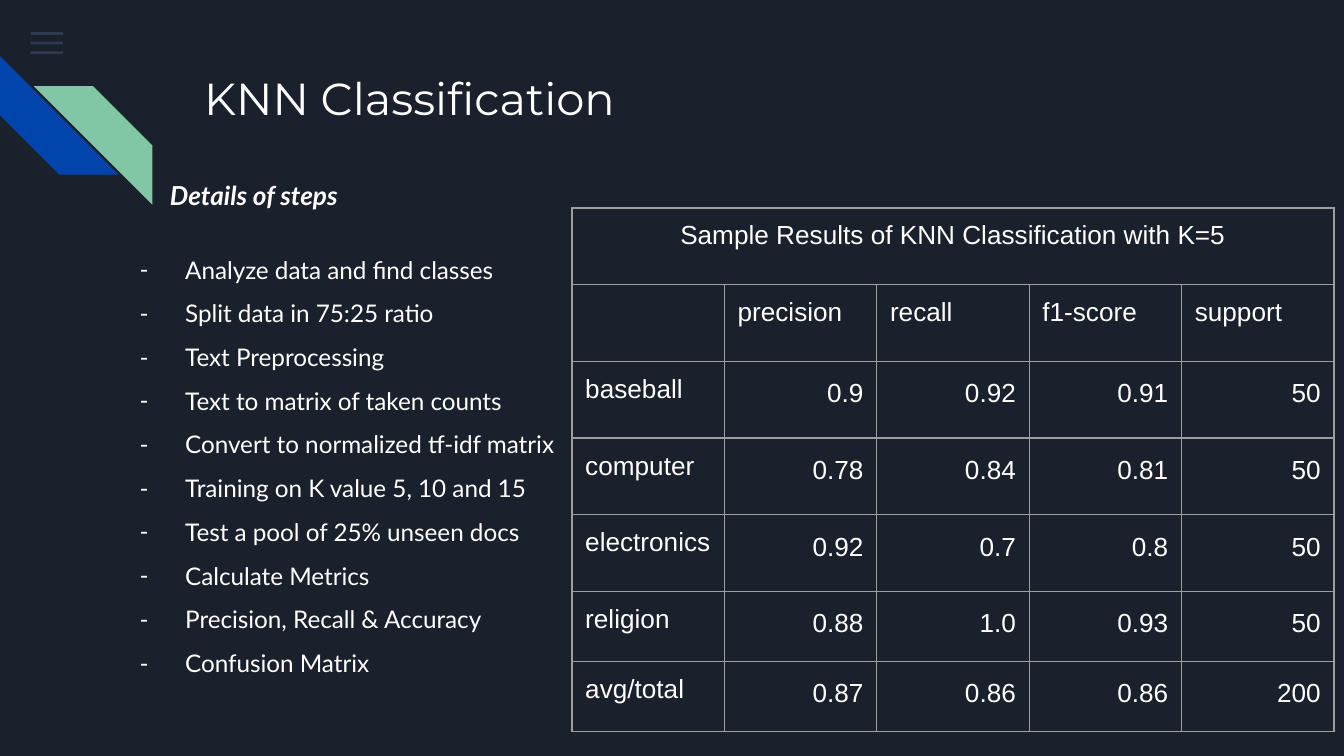
from typing import NamedTuple

from lxml import etree
from pptx import Presentation
from pptx.dml.color import RGBColor
from pptx.enum.shapes import MSO_SHAPE
from pptx.enum.text import MSO_ANCHOR, MSO_AUTO_SIZE, PP_ALIGN
from pptx.oxml.ns import qn
from pptx.util import Cm, Pt

BAR, STRIPE = MSO_SHAPE.RECTANGLE, MSO_SHAPE.DIAGONAL_STRIPE
LEFT, CENTER, RIGHT = PP_ALIGN.LEFT, PP_ALIGN.CENTER, PP_ALIGN.RIGHT
TOP = MSO_ANCHOR.TOP
NO_AUTOFIT = MSO_AUTO_SIZE.NONE

WHITE, NAVY, SLATE = "FFFFFF", "1B212C", "55688B"
BLUE, GREEN, GRID = "0145AC", "82C7A5", "9E9E9E"
INSET = Cm(0.25)


class Ornament(NamedTuple):
    kind: int
    left: float
    top: float
    width: float
    height: float
    fill: str
    opacity: int = 100
    rotation: int = 0
    mirrored: bool = False


class Score(NamedTuple):
    label: str
    precision: str
    recall: str
    f1: str
    support: str


ORNAMENTS = [
    Ornament(BAR, 0.58, 0.61 + 0.18 * i, 0.61, 0.05, SLATE, opacity=36)
    for i in range(3)
] + [
    Ornament(STRIPE, 0, 1.06, 2.24, 2.24, BLUE, rotation=270),
    Ornament(STRIPE, 0.64, 1.63, 2.24, 2.24, GREEN, mirrored=True),
]

STEPS = [
    "Analyze data and find classes",
    "Split data in 75:25 ratio",
    "Text Preprocessing",
    "Text to matrix of taken counts",
    "Convert to normalized tf-idf matrix",
    "Training on K value 5, 10 and 15",
    "Test a pool of 25% unseen docs",
    "Calculate Metrics",
    "Precision, Recall & Accuracy",
    "Confusion Matrix",
]

RESULTS_HEADING = "Sample Results of KNN Classification with K=5"
METRICS = ["", "precision", "recall", "f1-score", "support"]
SCORES = [
    Score("baseball", "0.9", "0.92", "0.91", "50"),
    Score("computer", "0.78", "0.84", "0.81", "50"),
    Score("electronics", "0.92", "0.7", "0.8", "50"),
    Score("religion", "0.88", "1.0", "0.93", "50"),
    Score("avg/total", "0.87", "0.86", "0.86", "200"),
]
COLUMN_WIDTH = 2.88
ROW_HEIGHTS = [1.45] * 5 + [1.32] * 2


def rgb(color: str) -> RGBColor:
    return RGBColor.from_string(color)


def add_child(parent, tag: str, **attributes: str):
    return etree.SubElement(parent, qn(tag), attributes)


def write(paragraph, text: str, *, font: str, size: float, color: str = WHITE,
          bold: bool = False, italic: bool = False, align=LEFT,
          line_spacing: float = 1.0, before: float = 0,
          margin: float = 0, indent: float = 0, bullet: str = "") -> None:
    """Fill one paragraph; margin and indent are in centimetres."""
    properties = paragraph._p.get_or_add_pPr()
    properties.set("marL", str(Cm(margin)))
    properties.set("indent", str(Cm(indent)))
    if bullet:
        add_child(add_child(properties, "a:buClr"), "a:srgbClr", val=color)
        add_child(properties, "a:buFont", typeface=font)
        add_child(properties, "a:buChar", char=bullet)
    else:
        add_child(properties, "a:buNone")
    paragraph.alignment = align
    paragraph.line_spacing = line_spacing
    paragraph.space_before = Pt(before)
    if not text:
        return
    run = paragraph.add_run()
    run.text = text
    run.font.name, run.font.size = font, Pt(size)
    run.font.bold, run.font.italic = bold, italic
    run.font.color.rgb = rgb(color)


def draw_ornament(slide, ornament: Ornament) -> None:
    box = [Cm(length) for length in ornament[1:5]]
    shape = slide.shapes.add_shape(ornament.kind, *box)
    shape.shadow.inherit = False
    shape.fill.solid()
    shape.fill.fore_color.rgb = rgb(ornament.fill)
    shape.line.fill.background()
    shape.rotation = ornament.rotation
    if ornament.opacity < 100:
        color = shape._element.spPr.find(".//" + qn("a:srgbClr"))
        add_child(color, "a:alpha", val=str(ornament.opacity * 1000))
    if ornament.mirrored:
        shape._element.spPr.xfrm.set("flipH", "1")


def place(placeholder, left: float, top: float, width: float, height: float):
    """Move a placeholder and return its text frame, set to the slide's insets."""
    placeholder.left, placeholder.top = Cm(left), Cm(top)
    placeholder.width, placeholder.height = Cm(width), Cm(height)
    frame = placeholder.text_frame
    frame.word_wrap, frame.auto_size = True, NO_AUTOFIT
    frame.vertical_anchor = TOP
    frame.margin_left = frame.margin_right = INSET
    frame.margin_top = frame.margin_bottom = INSET
    return frame


def write_cell(cell, text: str, align=LEFT, line_spacing: float = 1.0) -> None:
    cell.margin_left = cell.margin_right = INSET
    cell.margin_top = cell.margin_bottom = INSET
    cell.vertical_anchor = TOP
    properties = cell._tc.get_or_add_tcPr()
    for side in ("a:lnL", "a:lnR", "a:lnT", "a:lnB"):
        border = add_child(properties, side, w=str(Pt(0.75)))
        add_child(add_child(border, "a:solidFill"), "a:srgbClr", val=GRID)
    cell.fill.background()
    write(cell.text_frame.paragraphs[0], text, font="Arial", size=14,
          align=align, line_spacing=line_spacing)


def draw_results(slide) -> None:
    rows = [[RESULTS_HEADING, "", "", "", ""], METRICS, *SCORES]
    table = slide.shapes.add_table(
        len(rows), len(METRICS), Cm(10.81), Cm(3.93),
        Cm(COLUMN_WIDTH * len(METRICS)), Cm(sum(ROW_HEIGHTS))).table
    table.first_row = table.horz_banding = False
    for column in table.columns:
        column.width = Cm(COLUMN_WIDTH)
    for r, (values, height) in enumerate(zip(rows, ROW_HEIGHTS)):
        table.rows[r].height = Cm(height)
        for c, value in enumerate(values):
            if r == 0:
                write_cell(table.cell(r, c), value, CENTER)
            elif r > 1 and c > 0:
                write_cell(table.cell(r, c), value, RIGHT, 1.15)
            else:
                write_cell(table.cell(r, c), value)
    table.cell(0, 0).merge(table.cell(0, len(METRICS) - 1))


def main() -> None:
    deck = Presentation()
    deck.slide_width, deck.slide_height = Cm(25.4), Cm(14.29)
    slide = deck.slides.add_slide(deck.slide_layouts[1])
    slide.background.fill.solid()
    slide.background.fill.fore_color.rgb = rgb(NAVY)

    for ornament in ORNAMENTS:
        draw_ornament(slide, ornament)

    title = place(slide.shapes.title, 3.61, 1.09, 19.56, 2.54)
    write(title.paragraphs[0], "KNN Classification", font="Montserrat", size=24)

    body = place(slide.placeholders[1], 1.98, 2.84, 10.24, 10.44)
    write(body.paragraphs[0], "Details of steps", font="Lato", size=14,
          bold=True, italic=True, line_spacing=1.5, margin=0.98)
    for number, step in enumerate(STEPS):
        write(body.add_paragraph(), step, font="Lato", size=13,
              line_spacing=1.5, before=0 if number else 16,
              margin=1.27, indent=-0.86, bullet="-")

    draw_results(slide)
    deck.save("out.pptx")


if __name__ == "__main__":
    main()
